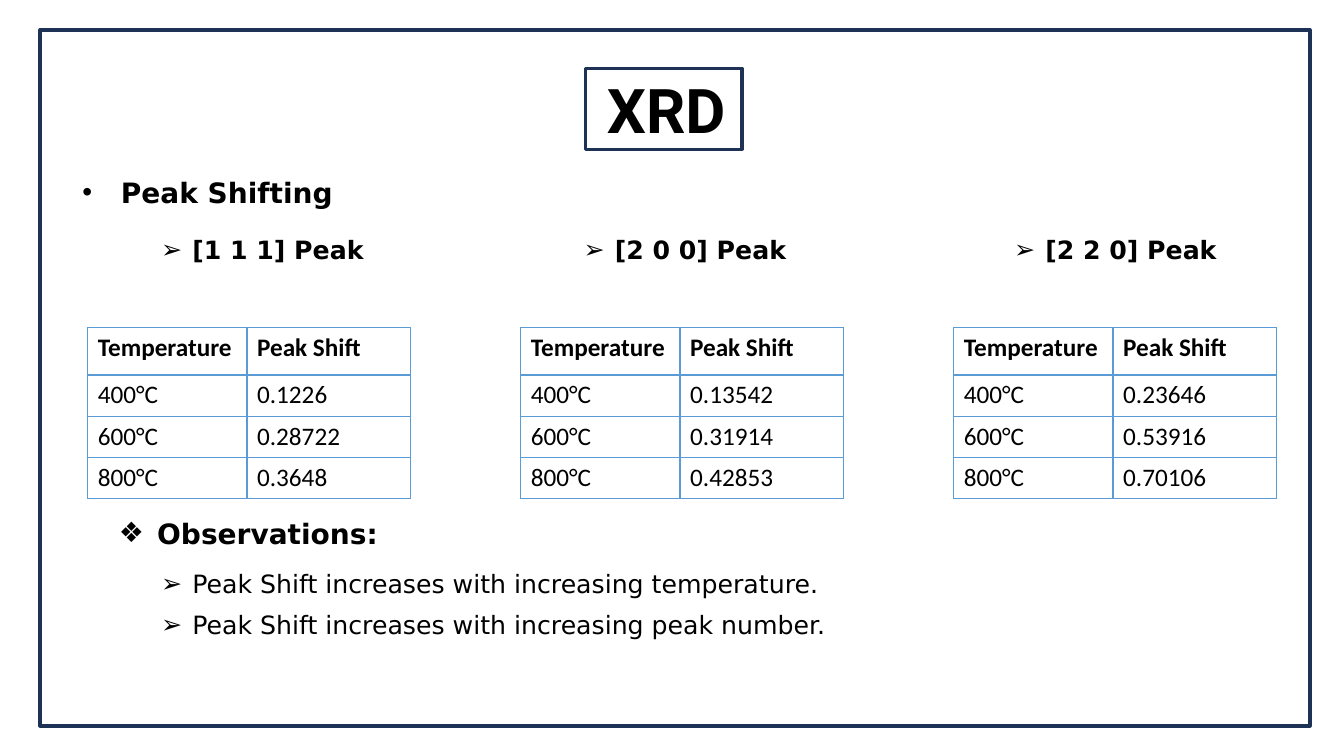
from dataclasses import dataclass

from lxml.etree import SubElement
from pptx import Presentation
from pptx.dml.color import RGBColor
from pptx.enum.shapes import MSO_SHAPE
from pptx.enum.text import MSO_ANCHOR, MSO_AUTO_SIZE, PP_ALIGN
from pptx.oxml.ns import qn
from pptx.util import Inches, Pt

TITLE = "XRD"
HEADER = ("Temperature", "Peak Shift")
TEMPERATURES = ("400°C", "600°C", "800°C")
PEAKS = [
    ("[1 1 1] Peak", 1.5, ("0.1226", "0.28722", "0.3648")),
    ("[2 0 0] Peak", 5.69, ("0.13542", "0.31914", "0.42853")),
    ("[2 2 0] Peak", 9.96, ("0.23646", "0.53916", "0.70106")),
]
HEADINGS = [
    ("Peak Shifting", "•", 0.72, 1.69),
    ("Observations:", "❖", 1.08, 5.07),
]
OBSERVATIONS = [
    "Peak Shift increases with increasing temperature.",
    "Peak Shift increases with increasing peak number.",
]
FRAMES = [
    ((0.4, 0.3, 12.59, 6.9), 3),
    ((5.81, 0.68, 1.55, 0.8), 2.25),
]
COLUMN_WIDTHS = (1.58, 1.62)
ROW_HEIGHTS = (0.47, 0.41, 0.41, 0.41)
TABLE_LEFT, TABLE_TOP, TABLE_STEP = 0.87, 3.25, 4.295
OBSERVATION_TOP, OBSERVATION_STEP = 5.59, 0.41


@dataclass(frozen=True)
class Theme:
    navy: str = "1E3256"
    grid: str = "5B9BD5"
    ink: str = "000000"
    title_font: str = "Roboto"
    body_font: str = "DejaVu Sans"
    table_font: str = "Calibri"
    title_size: int = 44
    heading_size: int = 20
    body_size: int = 18


THEME = Theme()


def style_text(para, font_name, size, bold):
    for span in para.runs:
        span.font.name = font_name
        span.font.size = Pt(size)
        span.font.bold = bold
        span.font.color.rgb = RGBColor.from_string(THEME.ink)


def add_frame(page, place, weight):
    frame = page.shapes.add_shape(MSO_SHAPE.RECTANGLE, *map(Inches, place))
    frame.shadow.inherit = False
    frame.fill.background()
    frame.line.color.rgb = RGBColor.from_string(THEME.navy)
    frame.line.width = Pt(weight)


def set_title(page):
    title = page.shapes.title
    title.left, title.top = Inches(5.92), Inches(0.66)
    title.width, title.height = Inches(1.55), Inches(0.84)
    frame = title.text_frame
    frame.text = TITLE
    frame.auto_size = MSO_AUTO_SIZE.NONE
    frame.vertical_anchor = MSO_ANCHOR.TOP
    para = frame.paragraphs[0]
    para.alignment = PP_ALIGN.LEFT
    style_text(para, THEME.title_font, THEME.title_size, True)


def add_bullet(page, text, symbol, place, indent, size, bold):
    box = page.shapes.add_textbox(*map(Inches, place))
    box.text_frame.word_wrap = True
    box.text_frame.text = text
    para = box.text_frame.paragraphs[0]
    style_text(para, THEME.body_font, size, bold)
    properties = para._p.get_or_add_pPr()
    properties.set("marL", str(Inches(indent)))
    properties.set("indent", str(-Inches(indent)))
    bullet_font = "Arial" if symbol == "•" else THEME.body_font
    SubElement(properties, qn("a:buFont"), typeface=bullet_font)
    SubElement(properties, qn("a:buChar"), char=symbol)


def add_borders(cell):
    properties = cell._tc.get_or_add_tcPr()
    for side in ("a:lnL", "a:lnR", "a:lnT", "a:lnB"):
        line = SubElement(properties, qn(side), w=str(Pt(1)))
        fill = SubElement(line, qn("a:solidFill"))
        SubElement(fill, qn("a:srgbClr"), val=THEME.grid)


def add_peak_table(page, left, shifts):
    rows = [HEADER, *zip(TEMPERATURES, shifts)]
    place = (left, TABLE_TOP, sum(COLUMN_WIDTHS), sum(ROW_HEIGHTS))
    table = page.shapes.add_table(
        len(rows), len(HEADER), *map(Inches, place)
    ).table
    table.first_row = False
    table.horz_banding = False
    for column, width in zip(table.columns, COLUMN_WIDTHS):
        column.width = Inches(width)
    for row_index, (values, height) in enumerate(zip(rows, ROW_HEIGHTS)):
        table.rows[row_index].height = Inches(height)
        for column_index, value in enumerate(values):
            cell = table.cell(row_index, column_index)
            cell.text_frame.text = value
            style_text(cell.text_frame.paragraphs[0], THEME.table_font,
                       THEME.body_size, row_index == 0)
            add_borders(cell)
            cell.fill.background()


def main():
    """Build the XRD peak shift slide."""
    deck = Presentation()
    deck.slide_width, deck.slide_height = Inches(13.33), Inches(7.5)
    page = deck.slides.add_slide(deck.slide_layouts[5])
    set_title(page)
    for place, weight in FRAMES:
        add_frame(page, place, weight)
    for text, symbol, left, top in HEADINGS:
        add_bullet(page, text, symbol, (left, top, 11.57, 0.44), 0.38,
                   THEME.heading_size, True)
    for index, (name, left, shifts) in enumerate(PEAKS):
        add_bullet(page, name, "➢", (left, 2.28, 2.56, 0.4), 0.31,
                   THEME.body_size, True)
        add_peak_table(page, TABLE_LEFT + index * TABLE_STEP, shifts)
    for index, text in enumerate(OBSERVATIONS):
        top = OBSERVATION_TOP + index * OBSERVATION_STEP
        add_bullet(page, text, "➢", (1.5, top, 11.02, 0.4), 0.31,
                   THEME.body_size, False)
    deck.save("out.pptx")


if __name__ == "__main__":
    main()
